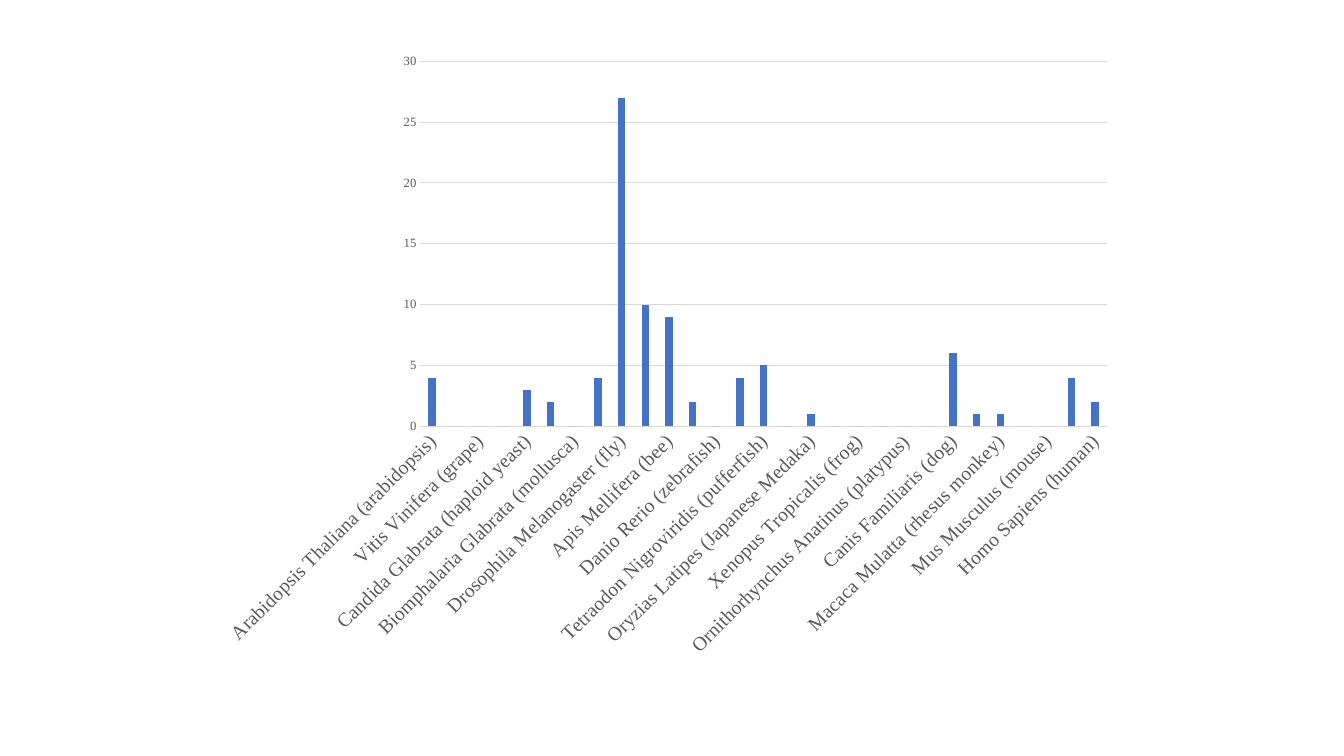
import pptx
import pptx.chart.data
import pptx.dml.color
import pptx.enum.chart
import pptx.oxml
import pptx.util
from pptx.util import Inches

BLUE = pptx.dml.color.RGBColor(0x44, 0x72, 0xC4)
TEXT_GREY = pptx.dml.color.RGBColor(0x59, 0x59, 0x59)
LINE_GREY = pptx.dml.color.RGBColor(0xD9, 0xD9, 0xD9)
BLACK = pptx.dml.color.RGBColor(0, 0, 0)
FONT_NAME = "Times New Roman"
AUTOMATIC_ROTATION = -60000000

SPECIES_COUNTS = {
    "Arabidopsis Thaliana (arabidopsis)": 4,
    "Oryza Sativa (rice)": 0,
    "Vitis Vinifera (grape)": 0,
    "Saccharomyces Cerevisiae (yeast)": 0,
    "Candida Glabrata (haploid yeast)": 3,
    "Caenorhabditis Elegans (worm)": 2,
    "Biomphalaria Glabrata (mollusca)": 0,
    "Ciona Intestinalis (sea squirt)": 4,
    "Drosophila Melanogaster (fly)": 27,
    "Anopheles Gambiae (mosquito)": 10,
    "Apis Mellifera (bee)": 9,
    "Tribolium Castaneum (beetle)": 2,
    "Danio Rerio (zebrafish)": 0,
    "Takifugu Rubripes (fugu)": 4,
    "Tetraodon Nigroviridis (pufferfish)": 5,
    "Gasterosteus Aculeatus (stickleback)": 0,
    "Oryzias Latipes (Japanese Medaka)": 1,
    "Anolis Carolinensis (lizard)": 0,
    "Xenopus Tropicalis (frog)": 0,
    "Gallus Gallus (chicken)": 0,
    "Ornithorhynchus Anatinus (platypus)": 0,
    "Bos Taurus (cow)": 0,
    "Canis Familiaris (dog)": 6,
    "Rattus Norvegicus (rat)": 1,
    "Macaca Mulatta (rhesus monkey)": 1,
    "Monodelphis Domestica (opossum)": 0,
    "Mus Musculus (mouse)": 0,
    "Pan Troglodytes (chimpanzee)": 4,
    "Homo Sapiens (human)": 2,
}


def apply_format(target, values):
    for name, value in values.items():
        setattr(target, name, value)


def style_font(font, size, color):
    apply_format(font, {"name": FONT_NAME, "size": pptx.util.Pt(size), "bold": False})
    font.color.rgb = color


def style_line(line):
    line.color.rgb = LINE_GREY
    line.width = pptx.util.Pt(0.75)


def style_axis(axis, size, values):
    no_tick = pptx.enum.chart.XL_TICK_MARK.NONE
    apply_format(axis, {"major_tick_mark": no_tick, "minor_tick_mark": no_tick, **values})
    style_font(axis.tick_labels.font, size, TEXT_GREY)
    body = axis._element.find(".//" + pptx.oxml.ns.qn("a:bodyPr"))
    body.set("rot", str(AUTOMATIC_ROTATION))
    body.set("vert", "horz")


def add_species_chart(page):
    chart_data = pptx.chart.data.CategoryChartData()
    chart_data.categories = list(SPECIES_COUNTS)
    chart_data.add_series("Series 1", list(SPECIES_COUNTS.values()))
    chart = page.shapes.add_chart(
        pptx.enum.chart.XL_CHART_TYPE.COLUMN_CLUSTERED,
        Inches(2.06), Inches(0.41), Inches(9.1), Inches(6.23), chart_data,
    ).chart
    apply_format(chart, {"has_legend": False, "has_title": False})
    style_font(chart.font, 10, BLACK)

    plot = chart.plots[0]
    apply_format(plot, {"gap_width": 219, "overlap": -27, "vary_by_categories": False})
    fill = plot.series[0].format.fill
    fill.solid()
    fill.fore_color.rgb = BLUE

    style_axis(chart.category_axis, 14, {"has_major_gridlines": False})
    style_line(chart.category_axis.format.line)

    style_axis(chart.value_axis, 9, {"has_major_gridlines": True})
    chart.value_axis.format.line.fill.background()
    style_line(chart.value_axis.major_gridlines.format.line)


def main():
    deck = pptx.Presentation()
    apply_format(deck, {"slide_width": Inches(13.33), "slide_height": Inches(7.5)})
    page = deck.slides.add_slide(deck.slide_layouts[6])
    add_species_chart(page)
    deck.save("out.pptx")


if __name__ == "__main__":
    main()
